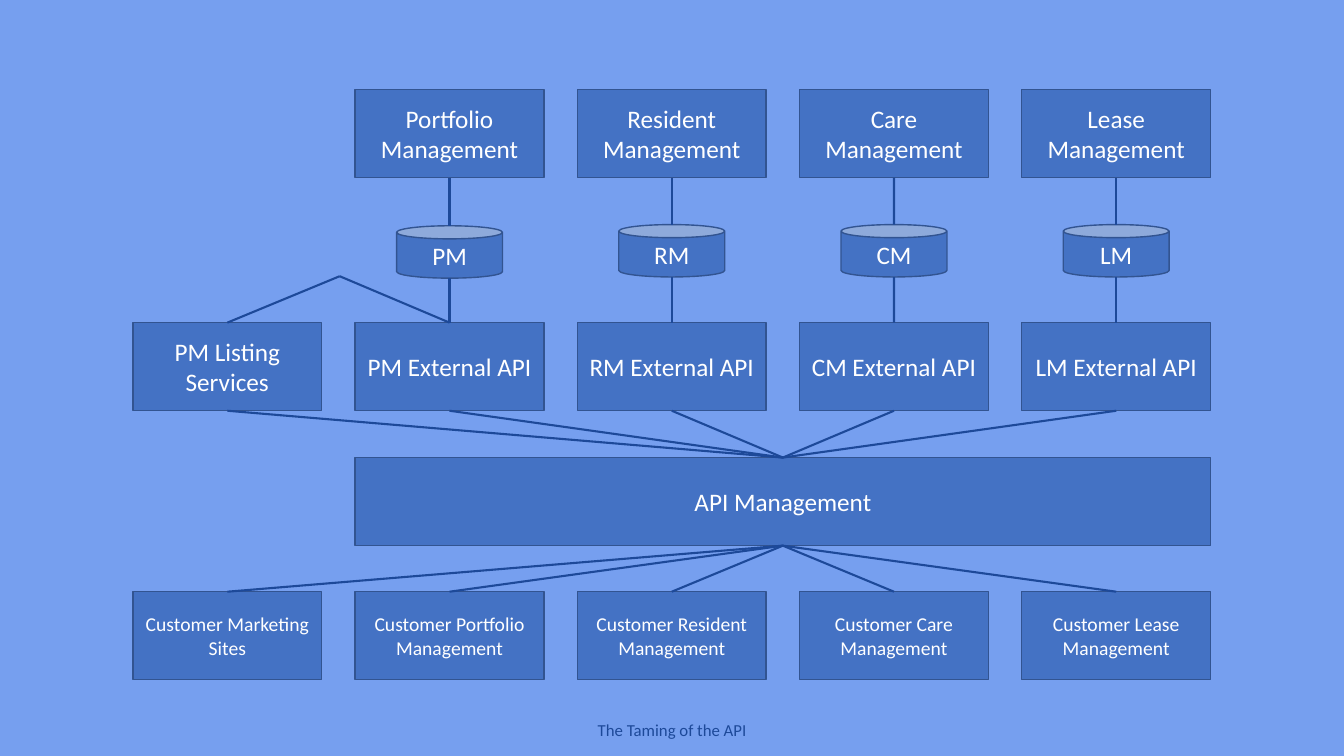
from lxml.etree import SubElement
from pptx import Presentation
from pptx.dml.color import RGBColor
from pptx.enum.shapes import MSO_CONNECTOR as LINE, MSO_SHAPE as SHAPE
from pptx.enum.text import MSO_ANCHOR as ANCHOR, MSO_AUTO_SIZE as FIT, PP_ALIGN as ALIGN
from pptx.oxml.ns import qn
from pptx.util import Cm, Pt

COLORS = {
    "background": "769FEF",
    "box": "4472C4",
    "border": "325491",
    "link": "1D4999",
    "label": "FFFFFF",
}
LEFT, PITCH = 3.35, 5.6
BOX_W, BOX_H = 4.76, 2.22
CAN_W, CAN_H = 2.67, 1.32
APP_TOP, API_TOP, HUB_TOP, CUSTOMER_TOP = 2.26, 8.13, 11.53, 14.91
BOTTOM_SITE, TOP_SITE = 2, 0

PRODUCTS = [
    ("Portfolio", "PM", 5.69),
    ("Resident", "RM", 5.66),
    ("Care", "CM", 5.66),
    ("Lease", "LM", 5.66),
]


def color(name):
    return RGBColor.from_string(COLORS[name])


def write(frame, text, size, color_name):
    frame.text = text
    paragraph = frame.paragraphs[0]
    paragraph.alignment = ALIGN.CENTER
    font = paragraph.runs[0].font
    font.name = "Calibri"
    font.size = Pt(size)
    font.color.rgb = color(color_name)


def add_block(slide, text, left, top, width=BOX_W, height=BOX_H, kind=SHAPE.RECTANGLE, size=18):
    block = slide.shapes.add_shape(kind, Cm(left), Cm(top), Cm(width), Cm(height))
    block.shadow.inherit = False
    block.fill.solid()
    block.fill.fore_color.rgb = color("box")
    block.line.color.rgb = color("border")
    block.line.width = Pt(1)
    block.text_frame.word_wrap = True
    block.text_frame.vertical_anchor = ANCHOR.MIDDLE
    write(block.text_frame, text, size, "label")
    return block


def add_link(slide, start, end):
    link = slide.shapes.add_connector(LINE.STRAIGHT, *start, *end)
    link.line.color.rgb = color("link")
    link.line.width = Pt(1.5)
    SubElement(link._element.spPr, qn("a:effectLst"))
    return link


def top_center(block):
    return block.left + block.width // 2, block.top


def bottom_center(block):
    return block.left + block.width // 2, block.top + block.height


def stack_link(slide, upper, lower):
    return add_link(slide, bottom_center(upper), top_center(lower))


def glued_link(slide, upper, lower):
    link = stack_link(slide, upper, lower)
    link.begin_connect(upper, BOTTOM_SITE)
    link.end_connect(lower, TOP_SITE)


def add_footer(slide, text):
    footer = slide.shapes.add_textbox(Cm(14.78), Cm(18.01), Cm(4.32), Cm(0.76))
    footer.text_frame.word_wrap = False
    footer.text_frame.auto_size = FIT.SHAPE_TO_FIT_TEXT
    write(footer.text_frame, text, 12, "link")


def main():
    deck = Presentation()
    deck.slide_width, deck.slide_height = Cm(33.87), Cm(19.05)
    slide = deck.slides.add_slide(deck.slide_layouts[6])
    slide.background.fill.solid()
    slide.background.fill.fore_color.rgb = color("background")
    add_footer(slide, "The Taming of the API")

    listing = add_block(slide, "PM Listing Services", LEFT, API_TOP)
    marketing = add_block(slide, "Customer Marketing Sites", LEFT, CUSTOMER_TOP, size=14)
    services, customers = [listing], [marketing]

    for column, (product, code, store_top) in enumerate(PRODUCTS, start=1):
        left = LEFT + column * PITCH
        app = add_block(slide, f"{product} Management", left, APP_TOP)
        store = add_block(slide, code, left + (BOX_W - CAN_W) / 2, store_top,
                          CAN_W, CAN_H, SHAPE.CAN)
        api = add_block(slide, f"{code} External API", left, API_TOP)
        customer = add_block(slide, f"Customer {product} Management", left, CUSTOMER_TOP, size=14)
        stack_link(slide, app, store)
        stack_link(slide, store, api)
        services.append(api)
        customers.append(customer)

    hub = add_block(slide, "API Management", LEFT + PITCH, HUB_TOP, 3 * PITCH + BOX_W)
    for service, customer in zip(services, customers):
        glued_link(slide, service, hub)
        glued_link(slide, hub, customer)

    fork = Cm(8.56), Cm(6.96)
    for service in services[:2]:
        add_link(slide, fork, top_center(service))

    deck.save("out.pptx")


if __name__ == "__main__":
    main()
